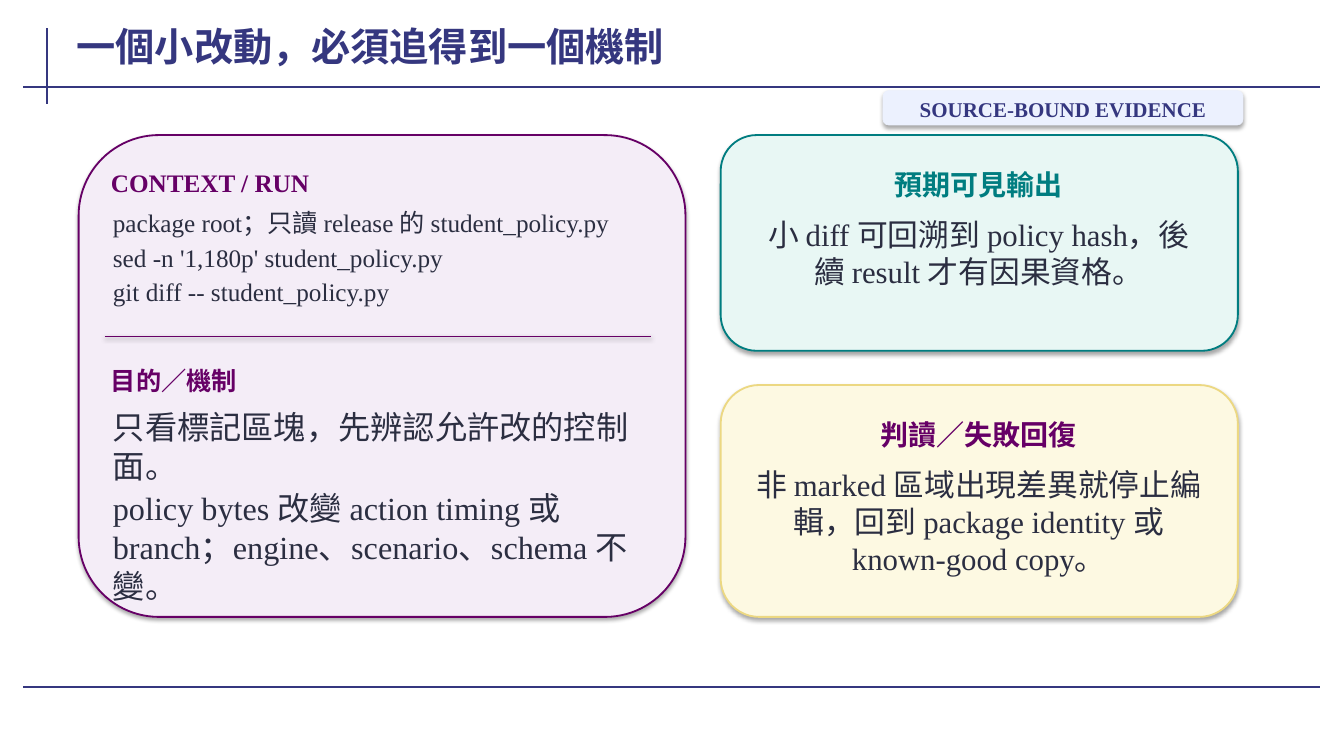
from dataclasses import dataclass
from typing import Optional

from lxml.etree import SubElement
from pptx import Presentation
from pptx.dml.color import RGBColor
from pptx.enum.shapes import MSO_CONNECTOR, MSO_SHAPE
from pptx.enum.text import MSO_ANCHOR, MSO_AUTO_SIZE, PP_ALIGN
from pptx.oxml.ns import qn
from pptx.shapes.autoshape import Shape
from pptx.slide import Slide
from pptx.util import Inches, Pt

SLIDE_WIDTH = Inches(13.33)
SLIDE_HEIGHT = Inches(7.5)
FONT = "Times New Roman"
NAVY = RGBColor(0x35, 0x37, 0x7F)
PURPLE = RGBColor(0x66, 0x00, 0x66)
TEAL = RGBColor(0x00, 0x7D, 0x80)
GOLD = RGBColor(0xEC, 0xD8, 0x82)
INK = RGBColor(0x2B, 0x2E, 0x41)
PALE_BLUE = RGBColor(0xEC, 0xF1, 0xFE)
PALE_PURPLE = RGBColor(0xF4, 0xED, 0xF7)
PALE_TEAL = RGBColor(0xE8, 0xF7, 0xF4)
PALE_YELLOW = RGBColor(0xFD, 0xF9, 0xE2)
BLACK = RGBColor(0x00, 0x00, 0x00)


@dataclass(frozen=True)
class Box:
    """Left, top, width and height in percent of the slide."""
    left: float
    top: float
    width: float
    height: float

    def lengths(self) -> tuple[int, int, int, int]:
        return (across(self.left), down(self.top), across(self.width), down(self.height))


@dataclass(frozen=True)
class Card:
    box: Box
    fill: RGBColor
    border: RGBColor
    border_width: float = 1.3


@dataclass(frozen=True)
class Rule:
    box: Box
    color: RGBColor = NAVY
    width: float = 1.5
    shadow_opacity: int = 0


@dataclass(frozen=True)
class OutcomeCard:
    card: Card
    heading: str
    heading_color: RGBColor
    body: str
    body_height: float


@dataclass(frozen=True)
class Section:
    heading: str
    heading_top: float
    lines: list[str]
    size: int
    box: Box


FRAME_RULES = [
    Rule(Box(3.52, 3.73, 0, 10)),
    Rule(Box(1.72, 11.47, 96.53, 0)),
    Rule(Box(1.72, 90.93, 96.53, 0)),
]
BADGE = Card(Box(65.7, 12, 26.78, 4.53), PALE_BLUE, PALE_BLUE, 0.5)
CONTEXT_CARD = Card(Box(5.85, 17.87, 45.15, 63.73), PALE_PURPLE, PURPLE)
DIVIDER = Rule(Box(7.8, 44.53, 40.65, 0), PURPLE, 1.1, 38)
SECTIONS = [
    Section("CONTEXT / RUN", 21.6, [
        "package root；只讀 release 的 student_policy.py",
        "sed -n '1,180p' student_policy.py",
        "git diff -- student_policy.py",
    ], 18, Box(7.8, 26.93, 41.25, 11.47)),
    Section("目的／機制", 47.73, [
        "只看標記區塊，先辨認允許改的控制面。",
        "policy bytes 改變 action timing 或 branch；engine、scenario、schema 不變。",
    ], 23, Box(7.8, 53.33, 41.1, 17.87)),
]
OUTCOMES = [
    OutcomeCard(Card(Box(53.62, 17.87, 38.48, 28.53), PALE_TEAL, TEAL), "預期可見輸出", TEAL,
                "小 diff 可回溯到 policy hash，後續 result 才有因果資格。", 13.33),
    OutcomeCard(Card(Box(53.62, 50.93, 38.48, 30.67), PALE_YELLOW, GOLD), "判讀／失敗回復", PURPLE,
                "非 marked 區域出現差異就停止編輯，回到 package identity 或 known-good copy。", 16),
]


def across(percent: float) -> int:
    return round(SLIDE_WIDTH * percent / 100)


def down(percent: float) -> int:
    return round(SLIDE_HEIGHT * percent / 100)


def set_shadow(shape, opacity: int, distance: float = 1.8) -> None:
    properties = shape.element.spPr
    for effects in properties.findall(qn("a:effectLst")):
        properties.remove(effects)
    effects = SubElement(properties, qn("a:effectLst"))
    if opacity:
        shadow = SubElement(effects, qn("a:outerShdw"), blurRad=str(Pt(3.1)),
                            dist=str(Pt(distance)), dir="5400000", rotWithShape="0")
        color = SubElement(shadow, qn("a:srgbClr"), val=str(BLACK))
        SubElement(color, qn("a:alpha"), val=str(opacity * 1000))


def draw_rule(slide: Slide, rule: Rule) -> None:
    left, top, width, height = rule.box.lengths()
    line = slide.shapes.add_connector(MSO_CONNECTOR.STRAIGHT, left, top, left + width, top + height)
    line.line.color.rgb = rule.color
    line.line.width = Pt(rule.width)
    set_shadow(line, rule.shadow_opacity, 1.6)


def draw_card(slide: Slide, card: Card) -> None:
    shape = slide.shapes.add_shape(MSO_SHAPE.ROUNDED_RECTANGLE, *card.box.lengths())
    shape.fill.solid()
    shape.fill.fore_color.rgb = card.fill
    shape.line.color.rgb = card.border
    shape.line.width = Pt(card.border_width)
    set_shadow(shape, 35)


def write_text(slide: Slide, box: Box, lines: list[str], *, size: int, color: RGBColor = INK,
               bold: bool = False, align: PP_ALIGN = PP_ALIGN.LEFT,
               placeholder: Optional[Shape] = None) -> None:
    shape = placeholder
    if shape is None:
        shape = slide.shapes.add_textbox(*box.lengths())
    else:
        shape.left, shape.top, shape.width, shape.height = box.lengths()
        shape.element.getparent().append(shape.element)
    frame = shape.text_frame
    frame.text = "\n".join(lines)
    frame.word_wrap = True
    frame.auto_size = MSO_AUTO_SIZE.SHAPE_TO_FIT_TEXT
    frame.vertical_anchor = MSO_ANCHOR.TOP
    frame.margin_left = frame.margin_right = Inches(0.08)
    frame.margin_top, frame.margin_bottom = Inches(0.04), Inches(0.03)
    for paragraph in frame.paragraphs:
        paragraph.alignment = align
        paragraph.space_before = Pt(0)
        paragraph.space_after = Pt(3)
        if placeholder is not None:
            properties = paragraph._p.get_or_add_pPr()
            properties.set("marL", "0")
            properties.set("indent", "0")
            SubElement(properties, qn("a:buNone"))
        for run in paragraph.runs:
            run.font.name = FONT
            run.font.size = Pt(size)
            run.font.bold = bold
            run.font.color.rgb = color


def main() -> None:
    presentation = Presentation()
    presentation.slide_width = SLIDE_WIDTH
    presentation.slide_height = SLIDE_HEIGHT
    slide = presentation.slides.add_slide(presentation.slide_layouts.get_by_name("Two Content"))
    title, *bodies = slide.placeholders

    for rule in FRAME_RULES:
        draw_rule(slide, rule)
    write_text(slide, Box(5.1, 2.4, 89.62, 8.8), ["一個小改動，必須追得到一個機制"],
               size=28, color=NAVY, bold=True, placeholder=title)
    draw_card(slide, BADGE)
    write_text(slide, Box(66, 12.27, 26.18, 3.6), ["SOURCE-BOUND EVIDENCE"],
               size=15, color=NAVY, bold=True, align=PP_ALIGN.CENTER)

    draw_card(slide, CONTEXT_CARD)
    draw_rule(slide, DIVIDER)
    for section, body in zip(SECTIONS, bodies):
        write_text(slide, Box(7.65, section.heading_top, 41.55, 4), [section.heading],
                   size=18, color=PURPLE, bold=True)
        write_text(slide, section.box, section.lines, size=section.size, placeholder=body)

    for outcome in OUTCOMES:
        draw_card(slide, outcome.card)
        top = outcome.card.box.top
        write_text(slide, Box(55.65, top + 3.73, 34.35, 4), [outcome.heading],
                   size=20, color=outcome.heading_color, bold=True, align=PP_ALIGN.CENTER)
        write_text(slide, Box(55.65, top + 10.13, 34.35, outcome.body_height), [outcome.body],
                   size=22, align=PP_ALIGN.CENTER)

    presentation.save("out.pptx")


if __name__ == "__main__":
    main()
